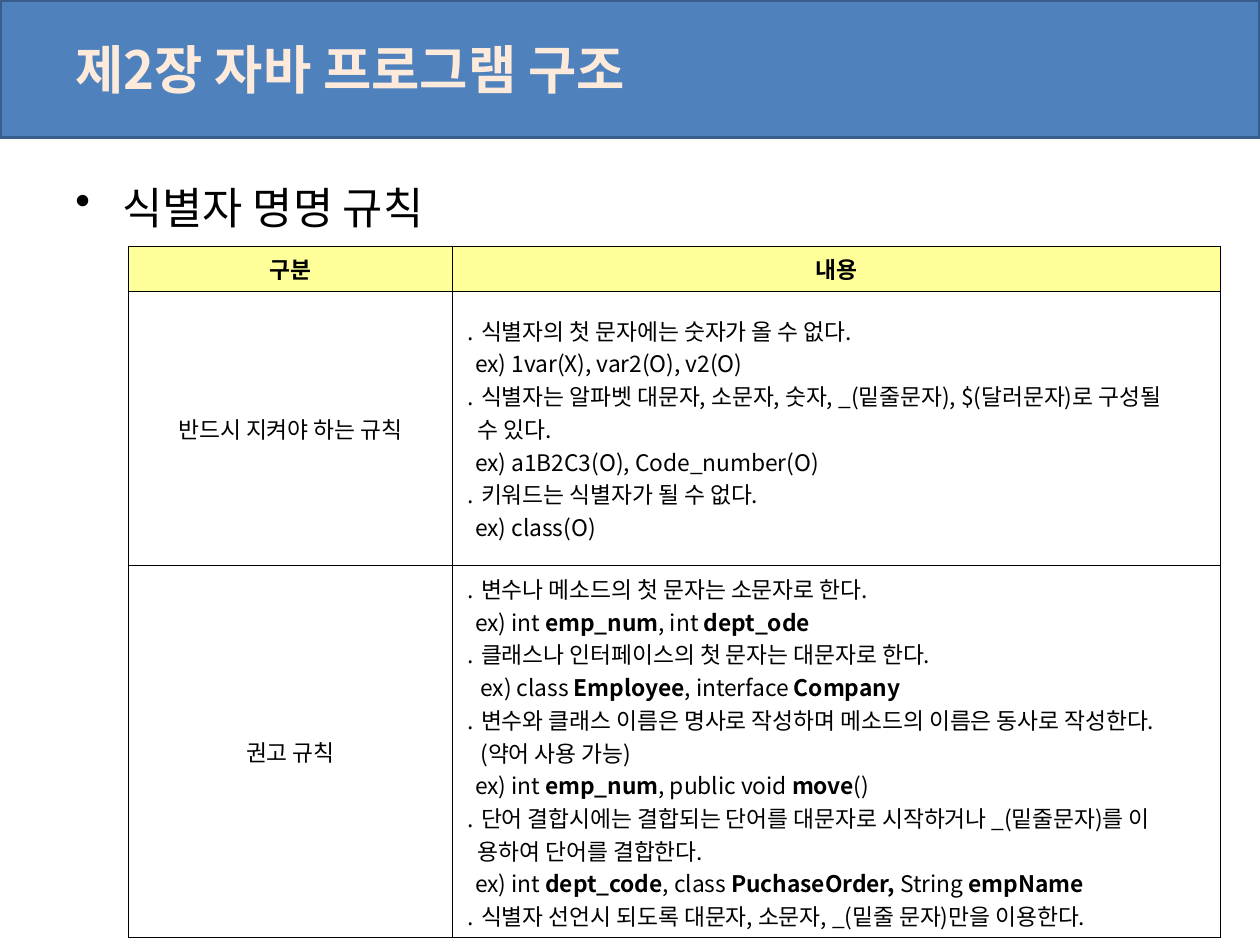
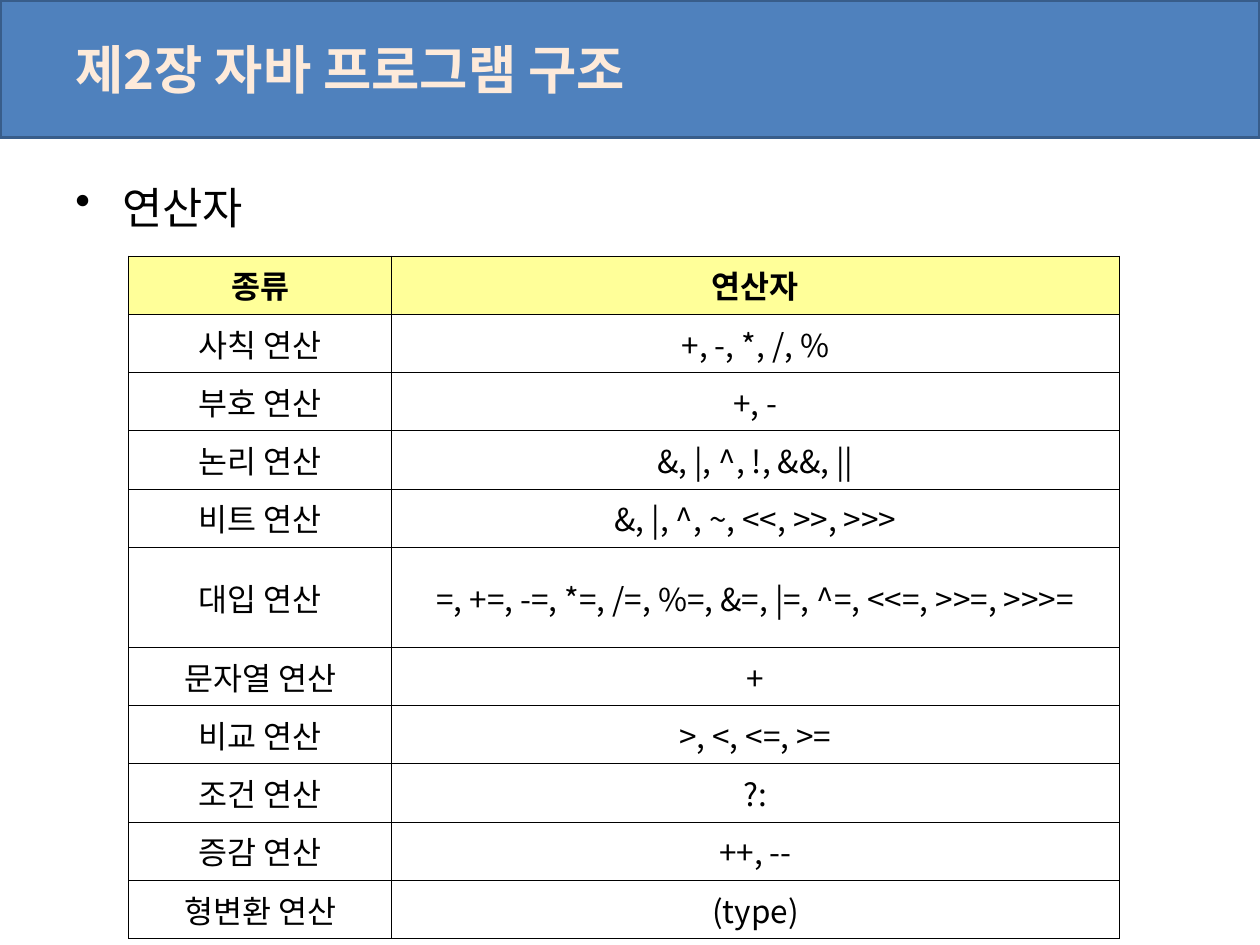
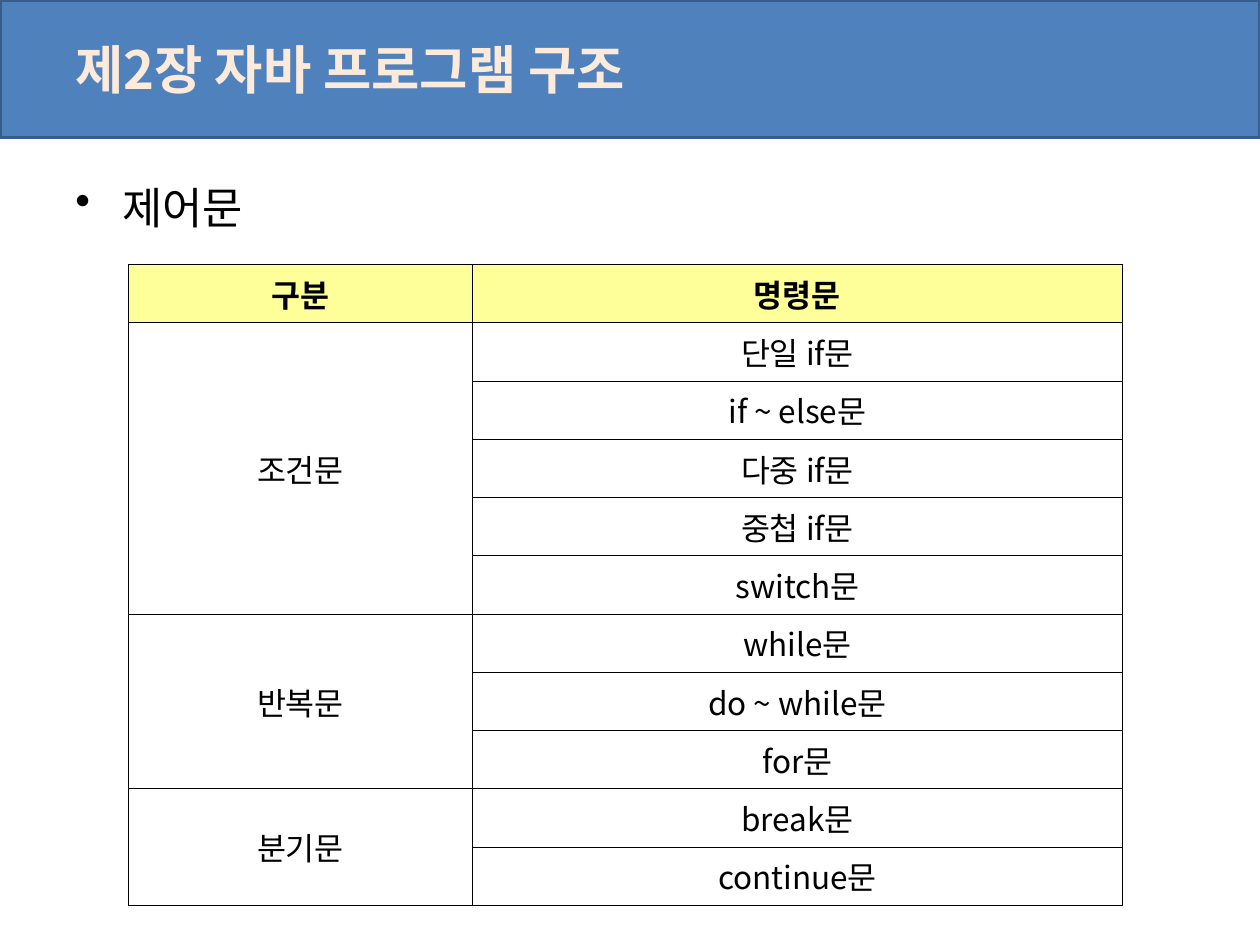
import pptx
import pptx.util
import pptx.dml.color
import pptx.enum.shapes
import pptx.enum.text
import pptx.oxml.ns
import lxml.etree

Pt = pptx.util.Pt
qn = pptx.oxml.ns.qn
ALIGN = pptx.enum.text.PP_ALIGN
MIDDLE = pptx.enum.text.MSO_ANCHOR.MIDDLE

COLORS = {
    "band": "4F81BD",
    "band_line": "385D8A",
    "title": "FDEADA",
    "text": "000000",
    "header": "FFFF99",
    "border": "000000",
}
FONT = "Noto Sans CJK KR"
TITLE = "제2장 자바 프로그램 구조"
TABLE_LEFT = 73.5
ROW_HEIGHT = 33.3
EX, DEEP, WRAP = 6, 9, 7.5


def rgb(name):
    return pptx.dml.color.RGBColor.from_string(COLORS[name])


class Deck:
    def __init__(self):
        self.prs = pptx.Presentation()
        self.prs.slide_width = Pt(720)
        self.prs.slide_height = Pt(540)
        self.s = None

    def slide(self, topic):
        self.s = self.prs.slides.add_slide(self.prs.slide_layouts[6])
        self.band()
        self.textbox((36, -6, 648, 90), TITLE, 30, "title", True).vertical_anchor = MIDDLE
        self.bullet(topic)

    def band(self):
        sp = self.s.shapes.add_shape(
            pptx.enum.shapes.MSO_SHAPE.RECTANGLE, 0, 0, Pt(720), Pt(78.5))
        sp.shadow.inherit = False
        sp.fill.solid()
        sp.fill.fore_color.rgb = rgb("band")
        sp.line.color.rgb = rgb("band_line")
        sp.line.width = Pt(2)

    def textbox(self, box, text, size, color="text", bold=False):
        tf = self.s.shapes.add_textbox(*map(Pt, box)).text_frame
        tf.word_wrap = True
        self.paragraph(tf.paragraphs[0], text, size, color, bold)
        return tf

    def bullet(self, text):
        tf = self.textbox((36, 99.5, 648, 356), text, 25)
        p = tf.paragraphs[0]
        p.space_before = Pt(6.2)
        pPr = p._p.get_or_add_pPr()
        pPr.set("marL", str(Pt(27)))
        pPr.set("indent", str(-Pt(27)))
        bu = lxml.etree.Element(qn("a:buChar"), char="•")
        pPr.find(qn("a:defRPr")).addprevious(bu)

    def paragraph(self, p, text, size, color="text", bold=False, align=ALIGN.LEFT, indent=0):
        p.alignment = align
        p.font.size = Pt(size)
        p.font.bold = bold
        p.font.color.rgb = rgb(color)
        p.font.name = FONT
        pPr = p._p.get_or_add_pPr()
        lxml.etree.SubElement(pPr.find(qn("a:defRPr")), qn("a:ea"), typeface=FONT)
        if indent:
            pPr.set("marL", str(Pt(indent)))
        for i, part in enumerate(text.split("`")):
            if part:
                r = p.add_run()
                r.text = part
                if i % 2:
                    r.font.bold = True

    def borders(self, cell):
        tcPr = cell._tc.get_or_add_tcPr()
        for side in ("lnL", "lnR", "lnT", "lnB"):
            ln = lxml.etree.SubElement(tcPr, qn("a:" + side), w=str(Pt(0.45)))
            fill = lxml.etree.SubElement(ln, qn("a:solidFill"))
            lxml.etree.SubElement(fill, qn("a:srgbClr"), val=COLORS["border"])

    def cell(self, cell, content, size, header):
        self.borders(cell)
        cell.vertical_anchor = MIDDLE
        if header:
            cell.fill.solid()
            cell.fill.fore_color.rgb = rgb("header")
        else:
            cell.fill.background()
        if content is None:
            return
        tf = cell.text_frame
        if isinstance(content, str):
            self.paragraph(tf.paragraphs[0], content, size, bold=header, align=ALIGN.CENTER)
            return
        for i, (indent, text) in enumerate(content):
            p = tf.add_paragraph() if i else tf.paragraphs[0]
            self.paragraph(p, text, size, indent=indent)

    def table(self, top, widths, heights, rows, size):
        tbl = self.s.shapes.add_table(
            len(rows), len(widths), Pt(TABLE_LEFT), Pt(top),
            Pt(sum(widths)), Pt(sum(heights))).table
        tbl.first_row = False
        tbl.horz_banding = False
        for col, width in zip(tbl.columns, widths):
            col.width = Pt(width)
        for i, (height, row) in enumerate(zip(heights, rows)):
            tbl.rows[i].height = Pt(height)
            for j, content in enumerate(row):
                self.cell(tbl.cell(i, j), content, size, i == 0)
        return tbl


RULES_REQUIRED = [
    (0, "․ 식별자의 첫 문자에는 숫자가 올 수 없다."),
    (EX, "ex) 1var(X), var2(O), v2(O)"),
    (0, "․ 식별자는 알파벳 대문자, 소문자, 숫자, _(밑줄문자), $(달러문자)로 구성될"),
    (WRAP, "수 있다."),
    (EX, "ex) a1B2C3(O), Code_number(O)"),
    (0, "․ 키워드는 식별자가 될 수 없다."),
    (EX, "ex) class(O)"),
]
RULES_ADVISED = [
    (0, "․ 변수나 메소드의 첫 문자는 소문자로 한다."),
    (EX, "ex) int `emp_num`, int `dept_ode`"),
    (0, "․ 클래스나 인터페이스의 첫 문자는 대문자로 한다."),
    (DEEP, "ex) class `Employee`, interface `Company`"),
    (0, "․ 변수와 클래스 이름은 명사로 작성하며 메소드의 이름은 동사로 작성한다."),
    (DEEP, "(약어 사용 가능)"),
    (EX, "ex) int `emp_num`, public void `move`()"),
    (0, "․ 단어 결합시에는 결합되는 단어를 대문자로 시작하거나 _(밑줄문자)를 이"),
    (WRAP, "용하여 단어를 결합한다."),
    (EX, "ex) int `dept_code`, class `PuchaseOrder, `String `empName`"),
    (0, "․ 식별자 선언시 되도록 대문자, 소문자, _(밑줄 문자)만을 이용한다."),
]
OPERATORS = [
    ("종류", "연산자"),
    ("사칙 연산", "+, -, *, /, %"),
    ("부호 연산", "+, -"),
    ("논리 연산", "&, |, ^, !, &&, ||"),
    ("비트 연산", "&, |, ^, ~, <<, >>, >>>"),
    ("대입 연산", "=, +=, -=, *=, /=, %=, &=, |=, ^=, <<=, >>=, >>>="),
    ("문자열 연산", "+"),
    ("비교 연산", ">, <, <=, >="),
    ("조건 연산", "?:"),
    ("증감 연산", "++, --"),
    ("형변환 연산", "(type)"),
]
STATEMENTS = {
    "조건문": ["단일 if문", "if ~ else문", "다중 if문", "중첩 if문", "switch문"],
    "반복문": ["while문", "do ~ while문", "for문"],
    "분기문": ["break문", "continue문"],
}


def main():
    deck = Deck()

    deck.slide("식별자 명명 규칙")
    naming = [("구분", "내용"),
              ("반드시 지켜야 하는 규칙", RULES_REQUIRED),
              ("권고 규칙", RULES_ADVISED)]
    deck.table(140.5, [184.8, 439.2], [25.8, 157, 212.6], naming, 13)

    deck.slide("연산자")
    heights = [57.2 if kind == "대입 연산" else ROW_HEIGHT for kind, _ in OPERATORS]
    deck.table(146.3, [150.2, 416], heights, OPERATORS, 18)

    deck.slide("제어문")
    rows = [("구분", "명령문")]
    for group, names in STATEMENTS.items():
        rows += [(None if i else group, name) for i, name in enumerate(names)]
    tbl = deck.table(151.2, [196.4, 371.6], [ROW_HEIGHT] * len(rows), rows, 18)
    first = 1
    for names in STATEMENTS.values():
        last = first + len(names) - 1
        tbl.cell(first, 0).merge(tbl.cell(last, 0))
        first = last + 1

    deck.prs.save("out.pptx")


if __name__ == "__main__":
    main()
